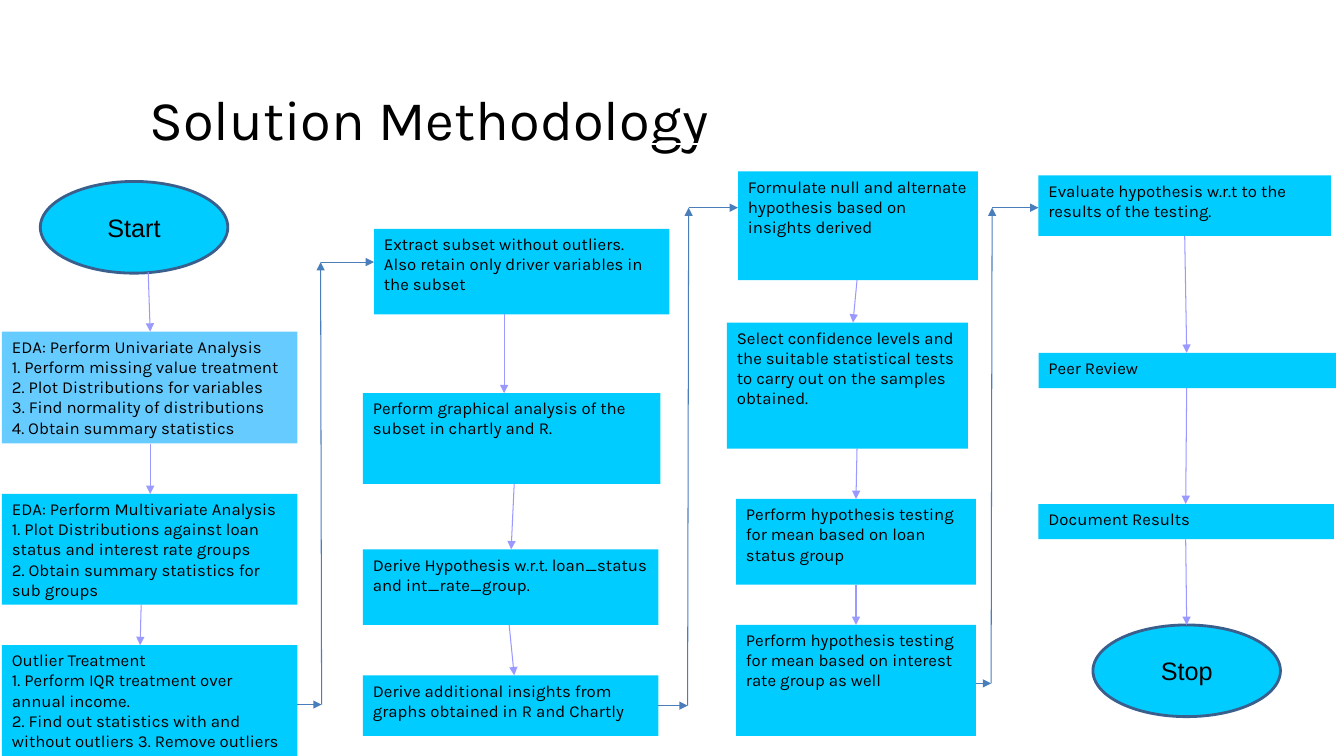
from lxml import etree
from pptx import Presentation
from pptx.dml.color import RGBColor
from pptx.enum.shapes import MSO_CONNECTOR, MSO_SHAPE
from pptx.enum.text import MSO_ANCHOR, MSO_AUTO_SIZE, PP_ALIGN
from pptx.oxml.ns import qn
from pptx.util import Inches, Pt

STRAIGHT = MSO_CONNECTOR.STRAIGHT
RECT, OVAL = MSO_SHAPE.RECTANGLE, MSO_SHAPE.OVAL
TOP, MIDDLE = MSO_ANCHOR.TOP, MSO_ANCHOR.MIDDLE
LEFT, CENTER = PP_ALIGN.LEFT, PP_ALIGN.CENTER

COLORS = {"text": "000000", "step": "00CCFF", "first": "66CCFF", "rim": "3A5F8C",
          "down": "9999FF", "across": "4A7EBB", "underline": "FFFFFF"}

TITLE = "Solution Methodology"
OVAL_SIZE = (1.86, 0.91)

# Start and stop: left, top, label
TERMINALS = [(0.4, 1.8, "Start"), (10.84, 6.2, "Stop")]

# Each column of steps: left, top, width, height, paragraphs
COLUMNS = [
    [(0.02, 3.29, 2.93, 1.11, ["EDA: Perform Univariate Analysis",
                               "1. Perform missing value treatment",
                               "2. Plot Distributions for variables",
                               "3. Find normality of distributions",
                               "4. Obtain summary statistics"]),
     (0.02, 4.9, 2.93, 1.1, ["EDA: Perform Multivariate Analysis",
                             "1. Plot Distributions against loan status and interest rate groups",
                             "2. Obtain summary statistics for sub groups"]),
     (0.02, 6.4, 2.93, 1.1, ["Outlier Treatment",
                             "1. Perform IQR treatment over annual income.",
                             "2. Find out statistics with and without outliers 3. Remove outliers"])],
    [(3.71, 2.27, 2.93, 0.85, ["Extract subset without outliers.",
                               "Also retain only driver variables in the subset"]),
     (3.6, 3.9, 2.95, 0.9, ["Perform graphical analysis of the subset in chartly and R."]),
     (3.6, 5.45, 2.93, 0.75, ["Derive Hypothesis w.r.t. loan_status and int_rate_group."]),
     (3.6, 6.7, 2.93, 0.6, ["Derive additional insights from graphs obtained in R and Chartly"])],
    [(7.32, 1.7, 2.38, 1.08, ["Formulate null and alternate hypothesis based on insights derived"]),
     (7.21, 3.2, 2.39, 1.25, ["Select confidence levels and the suitable statistical tests "
                              "to carry out on the samples obtained."]),
     (7.3, 4.95, 2.38, 0.85, ["Perform hypothesis testing for mean based on loan status group"]),
     (7.3, 6.2, 2.38, 1.1, ["Perform hypothesis testing for mean based on interest rate group as well"])],
    [(10.3, 1.74, 2.9, 0.6, ["Evaluate hypothesis w.r.t to the results of the testing."]),
     (10.3, 3.5, 2.95, 0.35, ["Peer Review"]),
     (10.3, 5, 2.93, 0.35, ["Document Results"])],
]

# Arrows down a column, from edge to edge: from x, from y, to x, to y
DOWN_ARROWS = [
    (1.47, 2.7, 1.49, 3.29), (1.49, 4.4, 1.49, 4.9), (1.4, 6, 1.39, 6.4),
    (5, 3.12, 5, 3.9), (5.1, 4.8, 5.07, 5.45), (5.05, 6.2, 5.1, 6.7),
    (8.5, 2.78, 8.46, 3.2), (8.5, 4.45, 8.49, 4.95), (8.49, 5.8, 8.49, 6.2),
    (11.75, 2.34, 11.77, 3.5), (11.77, 3.85, 11.76, 5), (11.76, 5.35, 11.77, 6.2),
]

# Routes to the next column: exit x, exit y, riser foot x, riser head x, entry x, entry y
ROUTES = [(2.95, 6.99, 3.19, 3.18, 3.71, 2.6),
          (6.53, 7, 6.82, 6.83, 7.32, 2.06),
          (9.68, 6.78, 9.83, 9.84, 10.3, 2.06)]


def rgb(role):
    return RGBColor.from_string(COLORS[role])


def write(frame, paragraphs, size, font, align, anchor):
    frame.word_wrap = True
    frame.auto_size = MSO_AUTO_SIZE.NONE
    frame.vertical_anchor = anchor
    for i, text in enumerate(paragraphs):
        paragraph = frame.paragraphs[0] if i == 0 else frame.add_paragraph()
        paragraph.alignment = align
        run = paragraph.add_run()
        run.text = text
        run.font.size, run.font.name = Pt(size), font
        run.font.color.rgb = rgb("text")


def add_node(kind, box, fill):
    node = slide.shapes.add_shape(kind, *map(Inches, box))
    node.shadow.inherit = False
    node.fill.solid()
    node.fill.fore_color.rgb = rgb(fill)
    return node


def add_arrow(x1, y1, x2, y2, role):
    arrow = slide.shapes.add_connector(STRAIGHT, *map(Inches, (x1, y1, x2, y2)))
    arrow.line.width = Pt(0.75)
    arrow.line.color.rgb = rgb(role)
    etree.SubElement(arrow.line._get_or_add_ln(), qn("a:tailEnd"), type="triangle")
    etree.SubElement(arrow._element.spPr, qn("a:effectLst"))


prs = Presentation()
prs.slide_width, prs.slide_height = Inches(13.33), Inches(7.5)
slide = prs.slides.add_slide(prs.slide_layouts[5])

# Title, with an underline in the background colour
title = slide.shapes.title
title.left, title.top, title.width, title.height = map(Inches, (1.24, 0.7, 10.18, 0.94))
write(title.text_frame, [TITLE], 40, "Karla", LEFT, MIDDLE)
title.text_frame.margin_left = Inches(0.24)
title_font = title.text_frame.paragraphs[0].runs[0].font
title_font.underline = True
latin = title_font._element.find(qn("a:latin"))
underline_fill = etree.Element(qn("a:uFill"))
solid = etree.SubElement(underline_fill, qn("a:solidFill"))
etree.SubElement(solid, qn("a:srgbClr"), val=COLORS["underline"])
latin.addprevious(underline_fill)

# Steps
for c, column in enumerate(COLUMNS):
    for s, (*box, paragraphs) in enumerate(column):
        step = add_node(RECT, box, "first" if c == s == 0 else "step")
        step.line.fill.background()
        write(step.text_frame, paragraphs, 12, "Karla", LEFT, TOP)

# Start and stop
for left, top, label in TERMINALS:
    terminal = add_node(OVAL, (left, top, *OVAL_SIZE), "step")
    terminal.line.color.rgb = rgb("rim")
    terminal.line.width = Pt(2)
    write(terminal.text_frame, [label], 18, "Arial", CENTER, MIDDLE)

# Arrows
for ends in DOWN_ARROWS:
    add_arrow(*ends, "down")
for exit_x, exit_y, foot_x, head_x, entry_x, entry_y in ROUTES:
    add_arrow(foot_x, exit_y, head_x, entry_y, "across")
    add_arrow(head_x, entry_y, entry_x, entry_y, "across")
    add_arrow(exit_x, exit_y, foot_x, exit_y, "across")

prs.save("out.pptx")
